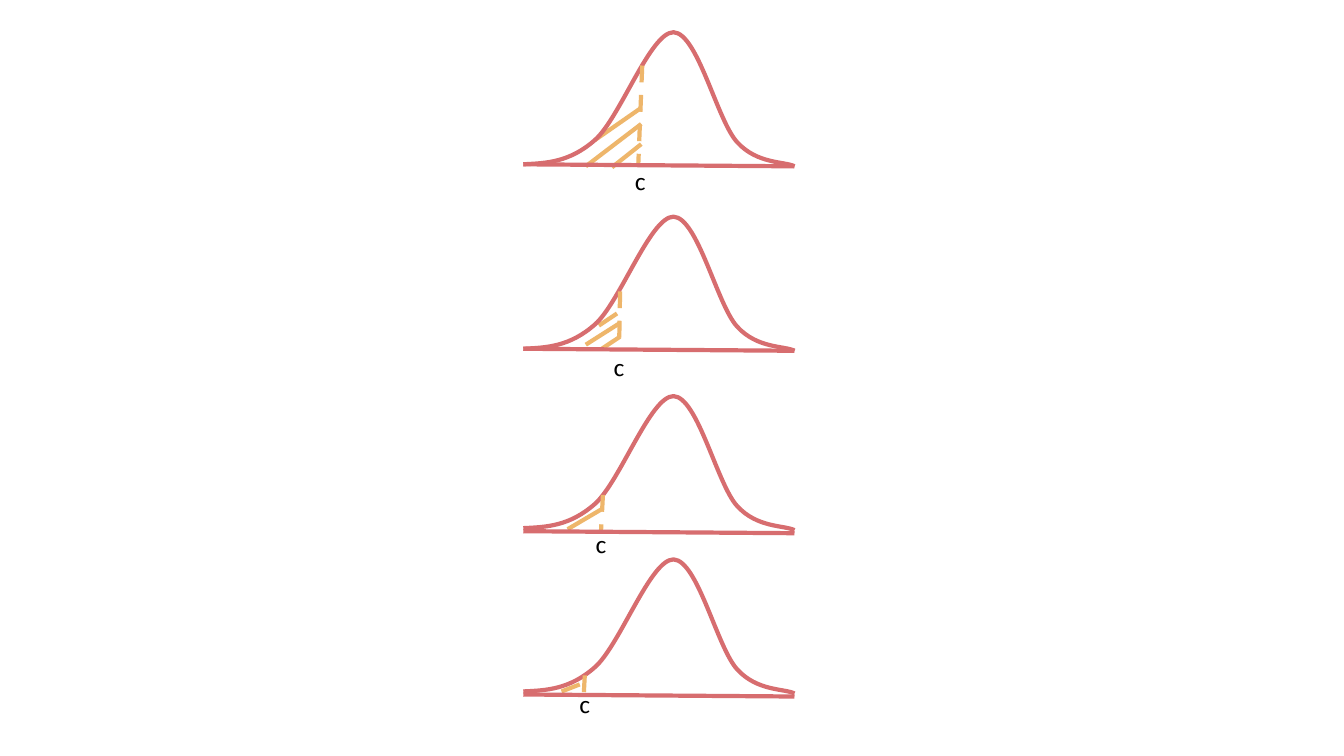
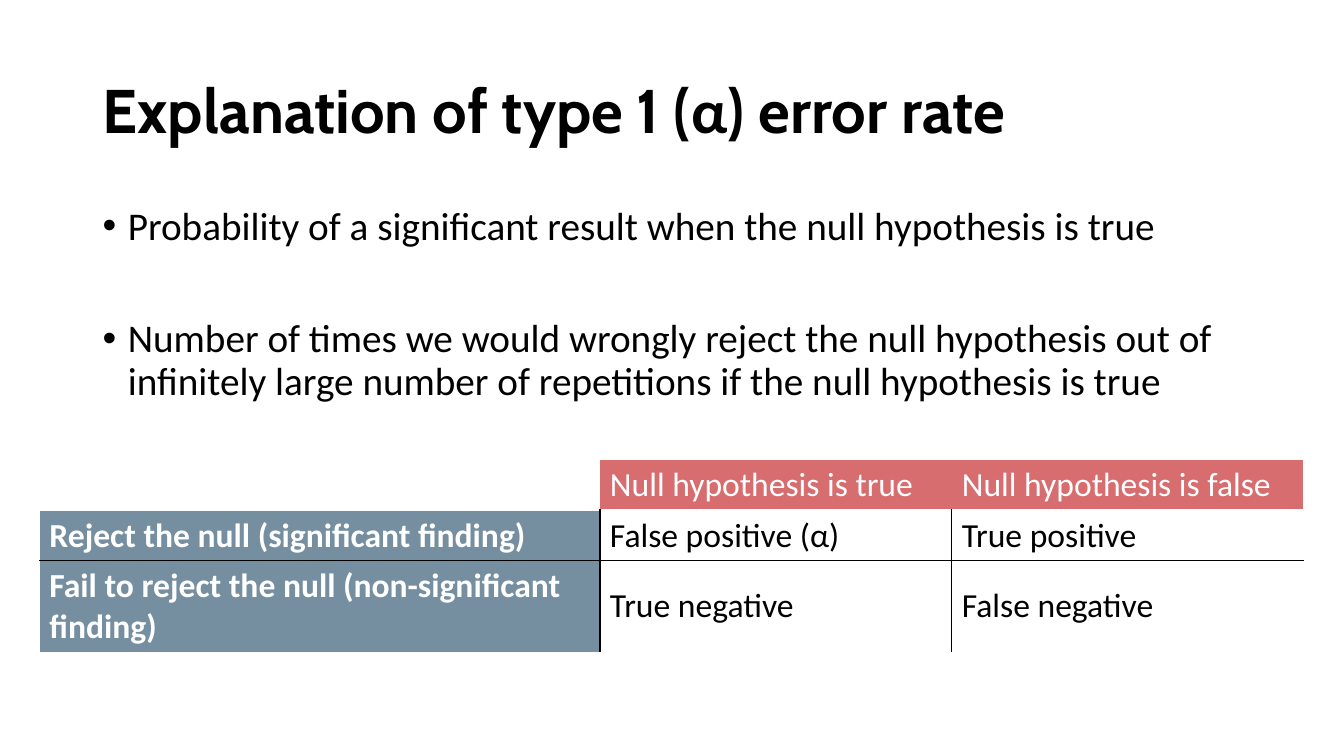
"""Build two slides on the type 1 error rate: shrinking tails and a decision table."""
from lxml.etree import SubElement
from pptx import Presentation
from pptx.dml.color import RGBColor
from pptx.enum.dml import MSO_LINE
from pptx.enum.shapes import MSO_CONNECTOR
from pptx.enum.text import MSO_ANCHOR
from pptx.oxml.ns import qn
from pptx.util import Emu, Pt

PX = 9144
RED, GOLD, SLATE, BLACK, WHITE = "D76D6F", "EEB66B", "758FA1", "000000", "FFFFFF"

BELL_LEFT, BELL_RIGHT, BASE_DROP = 519, 788, 2
BELL_START = (519, 131)
BELL_CURVES = [
    [(542, 130), (565, 129), (590, 107)],
    [(615, 85), (645, 0), (668, 0)],
    [(692, 1), (711, 87), (731, 109)],
    [(751, 131), (778, 128), (788, 133)],
]
BELLS = [
    {"top": 32, "base": 163, "cut": (637, 65, 633, 165), "label": (620, 159),
     "hatch": [(636, 143, 607, 166), (636, 123, 581, 165), (636, 107, 590, 139)]},
    {"top": 215, "base": 346, "cut": (615, 289, 614, 348), "label": (599, 344),
     "hatch": [(615, 334, 597, 346), (614, 321, 581, 342), (612, 311, 594, 323)]},
    {"top": 393, "base": 527, "cut": (598, 491, 596, 529), "label": (581, 519),
     "hatch": [(597, 505, 563, 525)]},
    {"top": 555, "base": 689, "cut": (580, 670, 579, 689), "label": (565, 678),
     "hatch": [(575, 679, 557, 686)]},
]
TITLE = [("Explanation of type 1 (", "Cabin"), ("α", "Calibri"), (") error rate", "Cabin")]
BULLETS = [
    "Probability of a significant result when the null hypothesis is true",
    "Number of times we would wrongly reject the null hypothesis out of "
    "infinitely large number of repetitions if the null hypothesis is true",
]
TABLE = [
    ["", "Null hypothesis is true", "Null hypothesis is false"],
    ["Reject the null (significant finding)", "False positive (α)", "True positive"],
    ["Fail to reject the null (non-significant finding)", "True negative", "False negative"],
]
COLUMNS, ROWS = [556, 349, 349], [50, 50, 91]


def px(*values):
    return [Emu(value * PX) for value in values]


def rgb(color):
    return RGBColor.from_string(color)


def write(para, text, size=24, color=BLACK, font="Calibri", bold=False):
    span = para.add_run()
    span.text = text
    span.font.size, span.font.name, span.font.bold = Pt(size), font, bold
    span.font.color.rgb = rgb(color)


def add_box(page, *place):
    box = page.shapes.add_textbox(*px(*place))
    box.text_frame.word_wrap = True
    return box


def add_line(page, ends, color, dashed=False):
    line = page.shapes.add_connector(MSO_CONNECTOR.STRAIGHT, *px(*ends))
    line.line.color.rgb, line.line.width = rgb(color), Pt(3)
    if dashed:
        line.line.dash_style = MSO_LINE.DASH
    SubElement(line._element.spPr, qn("a:effectLst"))


def add_curve(page, top):
    points = [px(x, y + top) for controls in BELL_CURVES for x, y in controls]
    builder = page.shapes.build_freeform(*px(BELL_START[0], BELL_START[1] + top))
    builder.add_line_segments(points, close=False)
    curve = builder.convert_to_shape()
    segments = list(curve._element.iter(qn("a:lnTo")))
    outline = segments[0].getparent()
    for index, segment in enumerate(segments):
        if index % 3 == 0:
            bezier = SubElement(outline, qn("a:cubicBezTo"))
        bezier.append(segment[0])
        outline.remove(segment)
    curve.shadow.inherit = False
    curve.fill.background()
    curve.line.color.rgb, curve.line.width = rgb(RED), Pt(3)


def add_bell(page, bell):
    for ends in bell["hatch"]:
        add_line(page, ends, GOLD)
    add_curve(page, bell["top"])
    add_line(page, bell["cut"], GOLD, dashed=True)
    add_line(page, (BELL_LEFT, bell["base"], BELL_RIGHT, bell["base"] + BASE_DROP), RED)
    label = add_box(page, *bell["label"], 40, 40)
    label.rotation = 1
    write(label.text_frame.paragraphs[0], "c", size=18)


def add_title(page):
    frame = add_box(page, 92, 40, 1150, 145).text_frame
    frame.vertical_anchor = MSO_ANCHOR.MIDDLE
    para = frame.paragraphs[0]
    para.line_spacing = 0.9
    for text, font in TITLE:
        write(para, text, size=44, font=font, bold=True)


def add_bullets(page):
    frame = add_box(page, 92, 200, 1150, 476).text_frame
    for index, text in enumerate(BULLETS):
        para = frame.add_paragraph() if index else frame.paragraphs[0]
        props = para._p.get_or_add_pPr()
        props.set("marL", str(25 * PX))
        props.set("indent", str(-25 * PX))
        SubElement(props, qn("a:buFont"), typeface="Arial")
        SubElement(props, qn("a:buChar"), char="•")
        para.line_spacing = 0.9
        if index:
            para.space_before = Pt(50)
        write(para, text, size=28)


def add_border(cell, side, color):
    edge = SubElement(cell._tc.get_or_add_tcPr(), qn("a:ln" + side), w=str(Pt(1)))
    if color:
        SubElement(SubElement(edge, qn("a:solidFill")), qn("a:srgbClr"), val=color)
    else:
        SubElement(edge, qn("a:noFill"))


def border_color(row, column, side):
    """Give black inside the body, none between headings and white elsewhere."""
    sideways = side in "LR"
    inner = {"L": column > 0, "R": column < len(COLUMNS) - 1,
             "T": row > 1, "B": 0 < row < len(ROWS) - 1}[side]
    if row == 0 and sideways and inner:
        return None
    return BLACK if inner else WHITE


def add_table(page):
    table = page.shapes.add_table(len(ROWS), len(COLUMNS),
                                  *px(39, 456, sum(COLUMNS), sum(ROWS))).table
    table.first_row = table.horz_banding = False
    for column, width in zip(table.columns, px(*COLUMNS)):
        column.width = width
    for row, height in zip(table.rows, px(*ROWS)):
        row.height = height
    for r, texts in enumerate(TABLE):
        for c, text in enumerate(texts):
            cell = table.cell(r, c)
            for side in "LRTB":
                add_border(cell, side, border_color(r, c, side))
            heading = r == 0 or c == 0
            fill = WHITE if not text or not heading else SLATE if c == 0 else RED
            cell.fill.solid()
            cell.fill.fore_color.rgb = rgb(fill)
            if not heading:
                cell.vertical_anchor = MSO_ANCHOR.MIDDLE
            if text:
                write(cell.text_frame.paragraphs[0], text,
                      color=WHITE if heading else BLACK, bold=c == 0)


def main():
    deck = Presentation()
    deck.slide_width, deck.slide_height = px(1333, 750)
    curves, errors = [deck.slides.add_slide(deck.slide_layouts[6]) for _ in range(2)]
    for bell in BELLS:
        add_bell(curves, bell)
    add_title(errors)
    add_bullets(errors)
    add_table(errors)
    deck.save("out.pptx")


if __name__ == "__main__":
    main()
